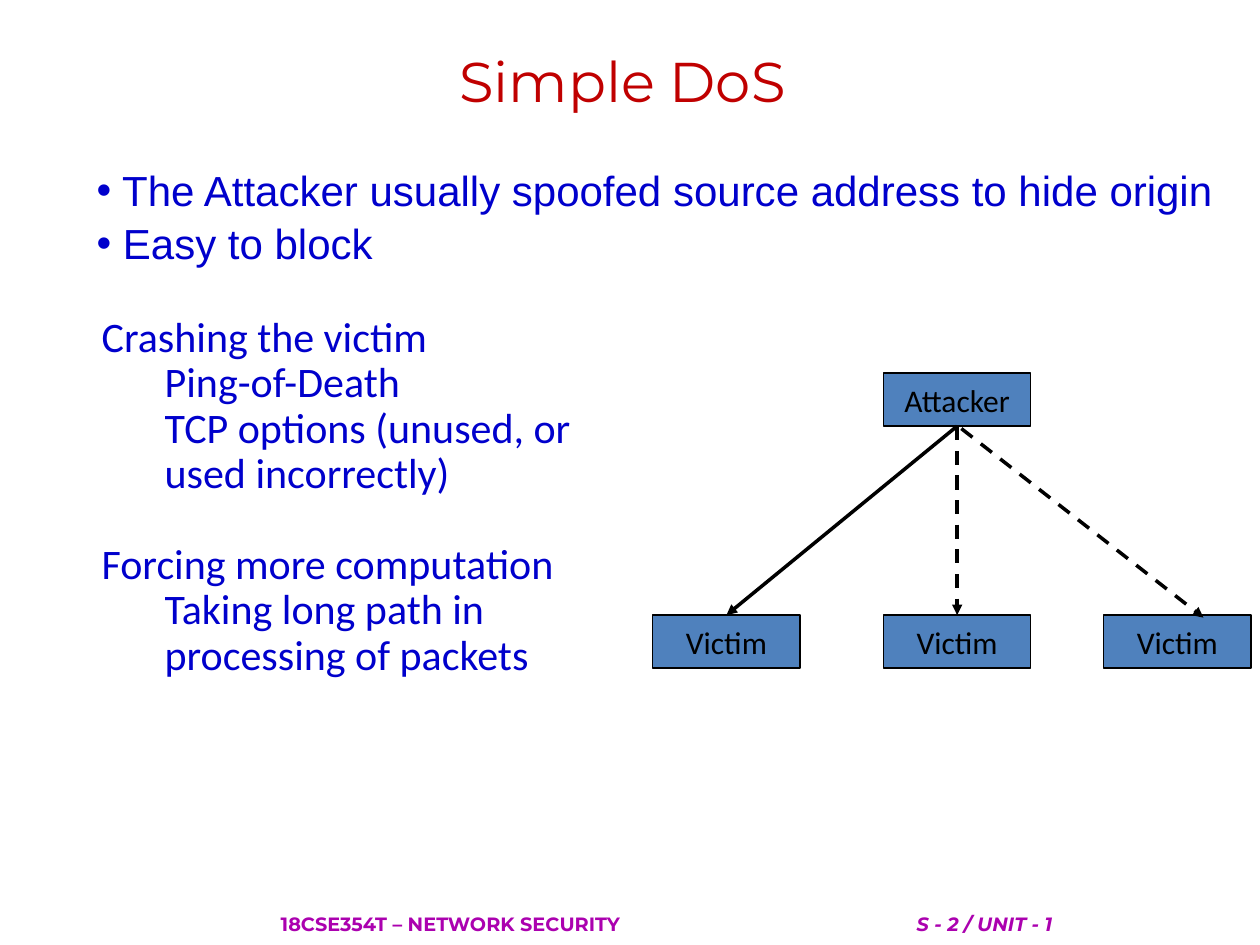
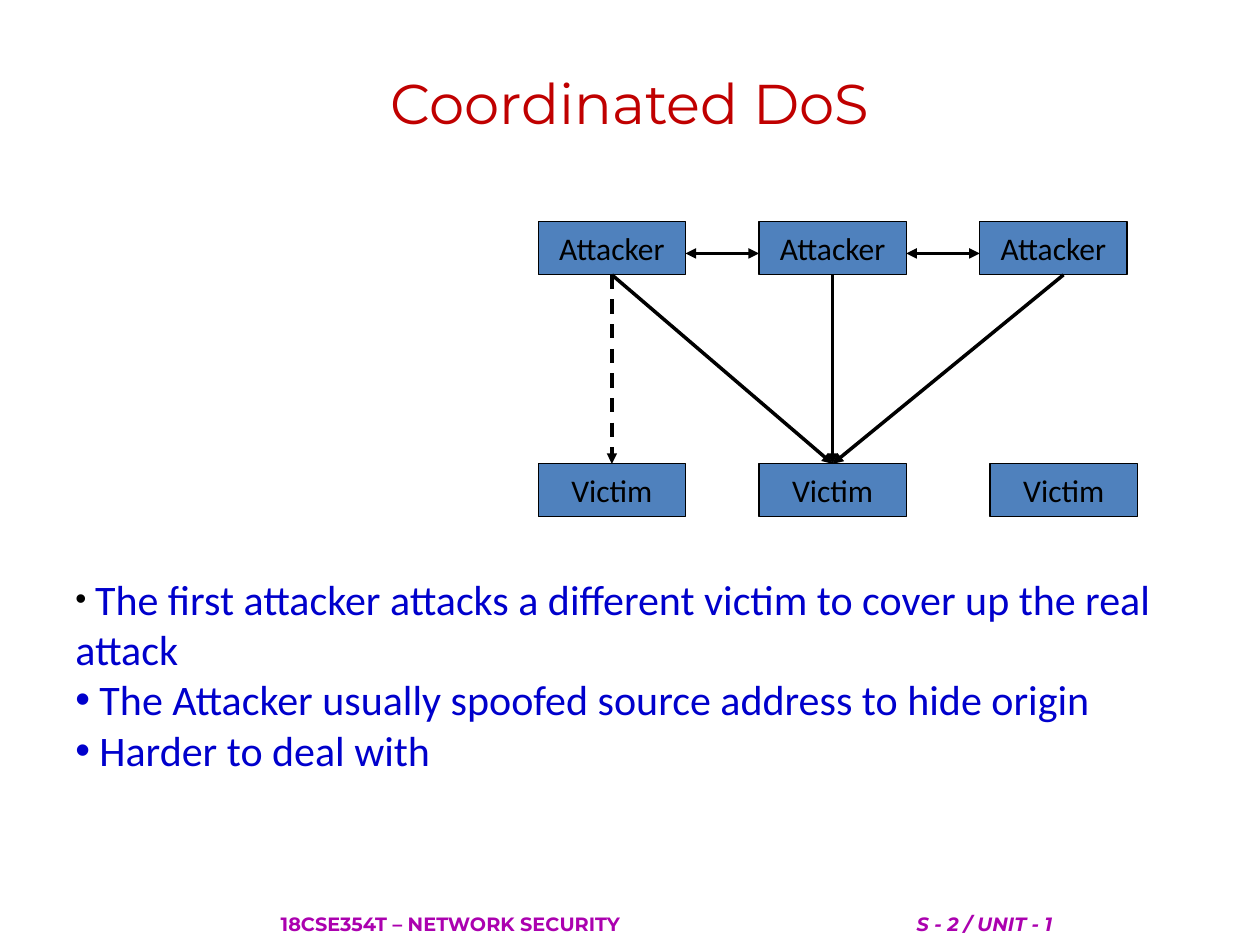
from lxml import etree
from pptx import Presentation
from pptx.dml.color import RGBColor
from pptx.enum.dml import MSO_LINE
from pptx.enum.shapes import MSO_CONNECTOR, MSO_SHAPE
from pptx.enum.text import MSO_ANCHOR, PP_ALIGN
from pptx.oxml.ns import qn
from pptx.util import Cm, Pt

RED = RGBColor(0xC0, 0x00, 0x00)
BLUE = RGBColor(0x00, 0x00, 0xCC)
STEEL = RGBColor(0x4F, 0x81, 0xBD)
PURPLE = RGBColor(0xAB, 0x01, 0xAF)
BLACK = RGBColor(0, 0, 0)

CENTER, JUSTIFY = PP_ALIGN.CENTER, PP_ALIGN.JUSTIFY
MIDDLE = MSO_ANCHOR.MIDDLE
DASH = MSO_LINE.DASH
RECTANGLE = MSO_SHAPE.RECTANGLE
STRAIGHT = MSO_CONNECTOR.STRAIGHT

BODY, HEADING, BULLET_FONT = "Calibri", "Montserrat", "Arial"
NODE_WIDTH, NODE_HEIGHT = 2.97, 1.07
VICTIM_DROP = 4.88
TOP, BOTTOM = 0, 2


def add_run(paragraph, text, size=24, font=BODY, color=BLUE, bold=False, italic=False):
    run = paragraph.add_run()
    run.text = text
    run.font.size = Pt(size)
    run.font.name = font
    run.font.color.rgb = color
    run.font.bold = bold
    run.font.italic = italic


def add_child(parent, tag, **attributes):
    return etree.SubElement(parent, qn(tag), attributes)


def add_bullet(paragraph):
    properties = paragraph._p.get_or_add_pPr()
    add_child(properties, "a:buFont", typeface=BULLET_FONT)
    add_child(properties, "a:buChar", char="•")


def add_text(frame, text, align=None, bullet=False, indent=0, spacing=None,
             before=0, **style):
    """Append one paragraph, using the empty first one when it is still free."""
    paragraph = frame.paragraphs[0]
    if paragraph.runs:
        paragraph = frame.add_paragraph()
    if bullet:
        add_bullet(paragraph)
    if indent:
        paragraph.level = 1
        paragraph._p.get_or_add_pPr().set("marL", str(Cm(indent)))
    paragraph.alignment = align
    paragraph.line_spacing = spacing
    if before:
        paragraph.space_before = Pt(before)
    add_run(paragraph, text, **style)
    return paragraph


def text_area(slide, left, top, width, height, anchor=None):
    frame = slide.shapes.add_textbox(Cm(left), Cm(top), Cm(width), Cm(height)).text_frame
    frame.word_wrap = True
    frame.vertical_anchor = anchor
    return frame


def add_title(slide, text, *box):
    add_text(text_area(slide, *box, anchor=MIDDLE), text, align=CENTER,
             size=32, font=HEADING, color=RED)


def add_footer(slide):
    frame = text_area(slide, 1.9, 18.21, 23.5, 0.84, MIDDLE)
    frame.margin_left = Cm(3.76)
    style = dict(size=11, font=HEADING, color=PURPLE, bold=True)
    line = add_text(frame, "18CSE354T – NETWORK SECURITY\t", **style)
    tabs = add_child(line._p.get_or_add_pPr(), "a:tabLst")
    add_child(tabs, "a:tab", pos=str(Cm(12.82)), algn="l")
    add_run(line, "S - 2 / UNIT - 1", italic=True, **style)


def add_node(slide, label, left, top):
    node = slide.shapes.add_shape(RECTANGLE, Cm(left), Cm(top),
                                  Cm(NODE_WIDTH), Cm(NODE_HEIGHT))
    node.shadow.inherit = False
    node.fill.solid()
    node.fill.fore_color.rgb = STEEL
    node.line.color.rgb = BLACK
    node.line.width = Pt(0.75)
    node.text_frame.word_wrap = False
    node.text_frame.vertical_anchor = MIDDLE
    add_text(node.text_frame, label, align=CENTER, size=18, color=BLACK)
    return node


def add_row(slide, label, left, top, offsets):
    return [add_node(slide, label, left + offset, top) for offset in offsets]


def end_point(end, side):
    """Turn a node, or a point in centimetres, into slide coordinates."""
    if isinstance(end, tuple):
        return Cm(end[0]), Cm(end[1])
    return end.left + end.width // 2, end.top + (end.height if side == BOTTOM else 0)


def add_arrow(slide, start, end, dashed=False, two_way=False):
    """Draw from the bottom of a node to the top of another, or between points."""
    arrow = slide.shapes.add_connector(STRAIGHT, *end_point(start, BOTTOM),
                                       *end_point(end, TOP))
    if not isinstance(start, tuple):
        arrow.begin_connect(start, BOTTOM)
    if not isinstance(end, tuple):
        arrow.end_connect(end, TOP)
    arrow.line.color.rgb = BLACK
    arrow.line.width = Pt(2)
    if dashed:
        arrow.line.dash_style = DASH
    outline = arrow.line._get_or_add_ln()
    if two_way:
        add_child(outline, "a:headEnd", type="triangle")
    add_child(outline, "a:tailEnd", type="triangle")
    add_child(arrow._element.spPr, "a:effectLst")


def simple_attack(slide, left, top):
    attacker = add_node(slide, "Attacker", left + 4.65, top)
    victims = add_row(slide, "Victim", left, top + VICTIM_DROP, (0, 4.65, 9.09))
    add_arrow(slide, attacker, victims[0])
    add_arrow(slide, attacker, victims[1], dashed=True)
    add_arrow(slide, (left + 6.22, top + 1.12), (left + 11.1, top + 4.93), dashed=True)


def coordinated_attack(slide, left, top):
    pitch = 4.45
    attackers = add_row(slide, "Attacker", left, top, (0, pitch, 2 * pitch))
    victims = add_row(slide, "Victim", left, top + VICTIM_DROP, (0, pitch, 9.11))
    target = victims[1]
    for column in range(2):
        x, y = left + column * pitch, top + 0.64
        add_arrow(slide, (x + NODE_WIDTH, y), (x + pitch, y), two_way=True)
        add_arrow(slide, attackers[column], target)
    add_arrow(slide, (left + 10.59, top + NODE_HEIGHT), target)
    add_arrow(slide, attackers[0], victims[0], dashed=True)


def attack_methods(slide, *box):
    methods = text_area(slide, *box)
    groups = (
        ("Crashing the victim",
         ("Ping-of-Death", "TCP options (unused, or used incorrectly)")),
        ("Forcing more computation",
         ("Taking long path in processing of packets",)),
    )
    for number, (goal, means) in enumerate(groups):
        add_text(methods, goal, spacing=0.9, before=26 * number)
        for item in means:
            add_text(methods, item, spacing=0.9, indent=1.27)


def simple_dos(slide):
    add_title(slide, "Simple DoS", 1.12, 0.84, 22.86, 1.57)
    simple_attack(slide, 13.16, 7.52)
    traits = text_area(slide, 1.7, 3.2, 23.52, 2.31)
    style = dict(align=JUSTIFY, bullet=True, font="Arial")
    add_text(traits, " The Attacker usually spoofed source address to hide origin", **style)
    add_text(traits, " Easy to block", before=1.5, **style)
    attack_methods(slide, 1.8, 6.25, 10.77, 7.65)


def coordinated_dos(slide):
    add_title(slide, "Coordinated DoS", 1.27, 0.46, 22.86, 3.18)
    coordinated_attack(slide, 10.85, 4.47)
    traits = text_area(slide, 1.27, 11.43, 22.38, 4.37)
    cover = add_text(traits, " ", bullet=True, size=18, font="Arial", color=BLACK)
    add_run(cover, "The first attacker attacks a different victim to cover up the real attack")
    for trait in (" The Attacker usually spoofed source address to hide origin",
                  " Harder to deal with"):
        add_text(traits, trait, bullet=True)


def main():
    deck = Presentation()
    deck.slide_width, deck.slide_height = Cm(25.4), Cm(19.05)
    blank = deck.slide_layouts[6]
    for build in (simple_dos, coordinated_dos):
        slide = deck.slides.add_slide(blank)
        build(slide)
        add_footer(slide)
    deck.save("out.pptx")


if __name__ == "__main__":
    main()
